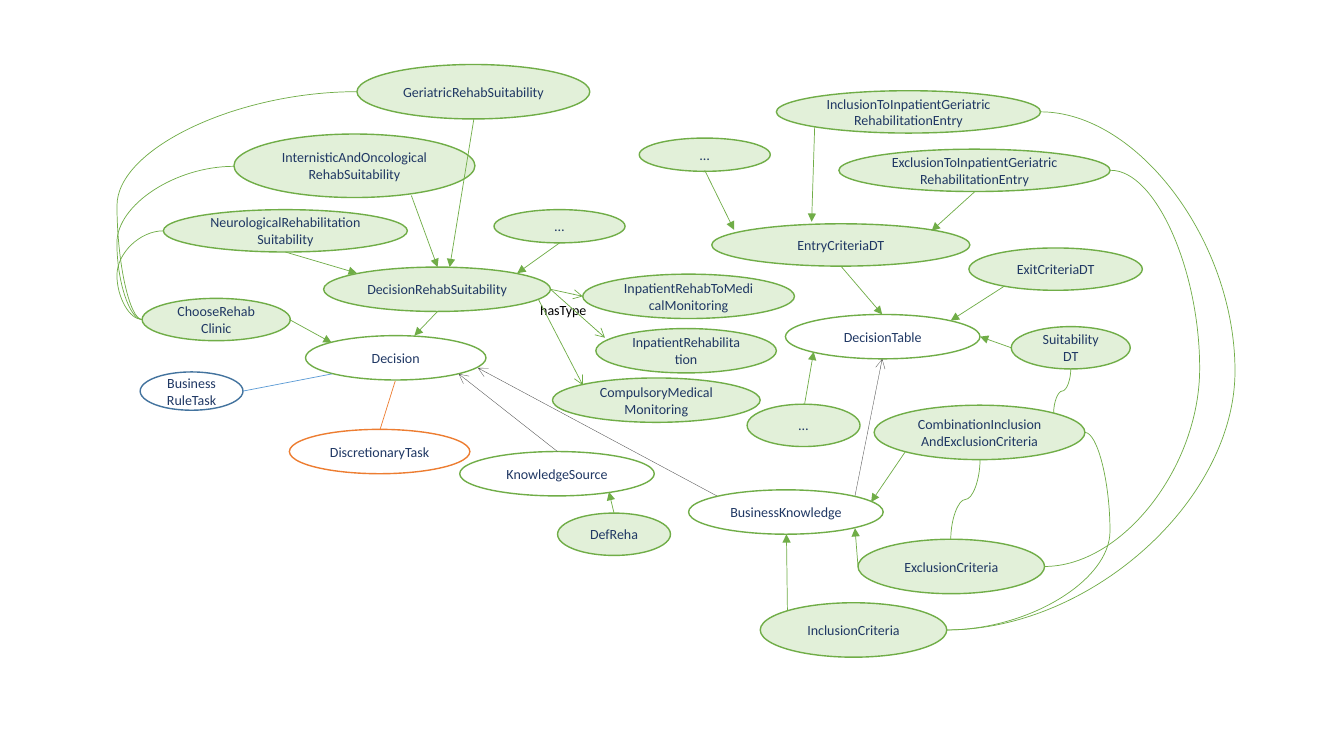
from pptx import Presentation
from pptx import util as u
from pptx.dml import color
from pptx.enum import shapes, text
from pptx.oxml import ns
from lxml import etree

PX = 9144
GREEN, PALE, WHITE, NAVY = "70AD47", "E2F0D9", "FFFFFF", "203864"
ORANGE, BLUE, SKY, GREY = "ED7D31", "43739E", "5B9BD5", "525252"


def px(n):
    return u.Emu(round(n * PX))


def rgb(code):
    return color.RGBColor.from_string(code)


def write(frame, words, size=10, font="Calibri", ink=NAVY, align=None, anchor=None):
    frame.word_wrap = True
    frame.vertical_anchor = anchor
    para = frame.paragraphs[0]
    para.text = words
    para.alignment = align
    for run in para.runs:
        run.font.size, run.font.name = u.Pt(size), font
        run.font.color.rgb = rgb(ink)


class Graph:
    """Draws concept nodes and their links on one slide."""

    def __init__(self, deck):
        self.slide = deck.slides.add_slide(deck.slide_layouts[6])
        self.items = self.slide.shapes

    def node(self, words, x, y, w, h, fill=PALE, edge=GREEN):
        oval = self.items.add_shape(shapes.MSO_SHAPE.OVAL, px(x), px(y), px(w), px(h))
        oval.shadow.inherit = False
        if fill:
            oval.fill.solid()
            oval.fill.fore_color.rgb = rgb(fill)
        else:
            oval.fill.background()
        oval.line.color.rgb = rgb(edge)
        oval.line.width = u.Pt(1)
        write(oval.text_frame, words, align=text.PP_ALIGN.CENTER, anchor=text.MSO_ANCHOR.MIDDLE)

    def label(self, words, x, y, w, h):
        box = self.items.add_textbox(px(x), px(y), px(w), px(h))
        write(box.text_frame, words, ink="000000", anchor=text.MSO_ANCHOR.TOP)

    def link(self, x1, y1, x2, y2, head=None, ink=GREEN, width=0.5, kind=shapes.MSO_CONNECTOR.STRAIGHT):
        wire = self.items.add_connector(kind, px(x1), px(y1), px(x2), px(y2))
        wire.line.color.rgb = rgb(ink)
        wire.line.width = u.Pt(width)
        props = wire._element.spPr
        if head:
            etree.SubElement(props.find(ns.qn("a:ln")), ns.qn("a:tailEnd"), type=head)
        etree.SubElement(props, ns.qn("a:effectLst"))
        return props

    def curve(self, x1, y1, x2, y2, bend):
        props = self.link(x1, y1, x2, y2, kind=shapes.MSO_CONNECTOR.CURVE)
        ratio = round((bend - x1) / (x2 - x1) * 100000)
        guides = props.find(ns.qn("a:prstGeom")).get_or_add_avLst()
        etree.SubElement(guides, ns.qn("a:gd"), name="adj1", fmla=f"val {ratio}")

    def drop(self, x1, y1, x2, y2):
        mid_x, mid_y = (x1 + x2) / 2, (y1 + y2) / 2
        dx, dy = (y2 - y1) / 2, (x1 - x2) / 2
        props = self.link(mid_x - dx, mid_y - dy, mid_x + dx, mid_y + dy,
                          kind=shapes.MSO_CONNECTOR.CURVE)
        props.find(ns.qn("a:xfrm")).set("rot", "5400000")


CASES = [
    ("ChooseRehab\nClinic", 141, 296, 147, 42),
    ("NeurologicalRehabilitation\nSuitability", 162, 208, 242, 42),
    ("InternisticAndOncological\nRehabSuitability", 232, 133, 239, 63),
    ("GeriatricRehabSuitability", 354, 64, 231, 54),
    ("DecisionRehabSuitability", 321, 265, 225, 44),
    ("…", 490, 208, 130, 33),
    ("…", 634, 137, 130, 33),
    ("…", 741, 401, 112, 42),
    ("EntryCriteriaDT", 706, 222, 256, 42),
    ("ExitCriteriaDT", 961, 246, 172, 42),
    ("Suitability\nDT", 1003, 324, 118, 42),
    ("InclusionToInpatientGeriatric\nRehabilitationEntry", 770, 90, 262, 42),
    ("ExclusionToInpatientGeriatric\nRehabilitationEntry", 832, 148, 269, 42),
    ("InpatientRehabToMedicalMonitoring", 578, 272, 210, 44),
    ("InpatientRehabilitation", 591, 326, 179, 44),
    ("CompulsoryMedical Monitoring", 548, 375, 206, 44),
    ("CombinationInclusion\nAndExclusionCriteria", 867, 402, 209, 54),
    ("ExclusionCriteria", 851, 535, 185, 54),
    ("InclusionCriteria", 754, 598, 185, 54),
    ("DefReha", 553, 509, 112, 42),
]
CORE = [
    ("Decision", 303, 333, 179, 44),
    ("DecisionTable", 779, 312, 193, 44),
    ("KnowledgeSource", 456, 448, 193, 44),
    ("BusinessKnowledge", 683, 486, 193, 44),
]
IS_A = [
    (287, 317, 329, 340), (283, 250, 354, 271), (408, 194, 434, 265),
    (470, 118, 446, 265), (555, 241, 513, 271), (434, 309, 411, 333),
    (699, 169, 728, 228), (808, 126, 805, 220), (967, 190, 924, 229),
    (834, 264, 875, 312), (996, 284, 943, 318), (1003, 345, 972, 334),
    (798, 401, 807, 349), (898, 448, 864, 498), (851, 562, 848, 524),
    (781, 606, 780, 530), (609, 509, 604, 488),
]
HAS_TYPE = [(546, 287, 578, 294), (546, 287, 600, 335), (534, 297, 578, 382)]
NEEDS = [(848, 492, 875, 356), (711, 492, 474, 365), (553, 448, 455, 371)]
CURVES = [
    (162, 229, 141, 317, 116), (232, 165, 141, 317, 116), (354, 91, 141, 317, 116),
    (1102, 169, 1036, 562, 1190), (1032, 111, 939, 625, 1225), (939, 625, 1076, 429, 1101),
]
DROPS = [(972, 456, 943, 535), (1062, 366, 1045, 410)]


def main():
    deck = Presentation()
    deck.slide_width, deck.slide_height = px(1333), px(750)
    graph = Graph(deck)
    for case in CASES:
        graph.node(*case)
    for case in CORE:
        graph.node(*case, fill=WHITE)
    graph.node("DiscretionaryTask", 287, 426, 179, 44, fill=WHITE, edge=ORANGE)
    graph.node("Business\nRuleTask", 139, 369, 102, 38, fill=None, edge=BLUE)
    graph.label("hasType", 526, 294, 96, 27)
    for ends in IS_A:
        graph.link(*ends, head="triangle")
    for ends in HAS_TYPE:
        graph.link(*ends, head="arrow")
    for ends in NEEDS:
        graph.link(*ends, head="arrow", ink=GREY, width=0.25)
    graph.link(392, 378, 377, 426, ink=ORANGE)
    graph.link(241, 388, 329, 371, ink=SKY)
    for ends in CURVES:
        graph.curve(*ends)
    for ends in DROPS:
        graph.drop(*ends)
    deck.save("out.pptx")


if __name__ == "__main__":
    main()
